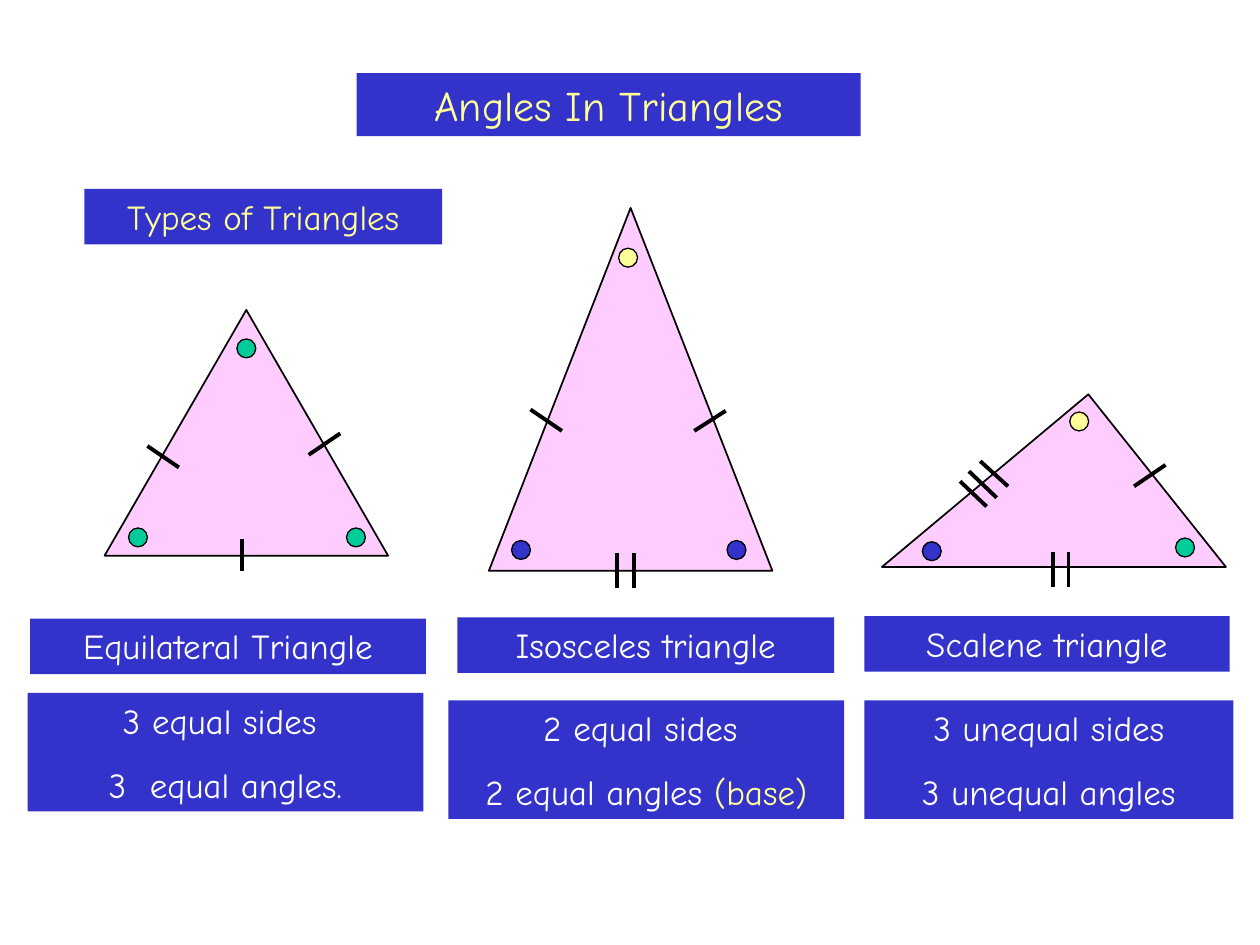
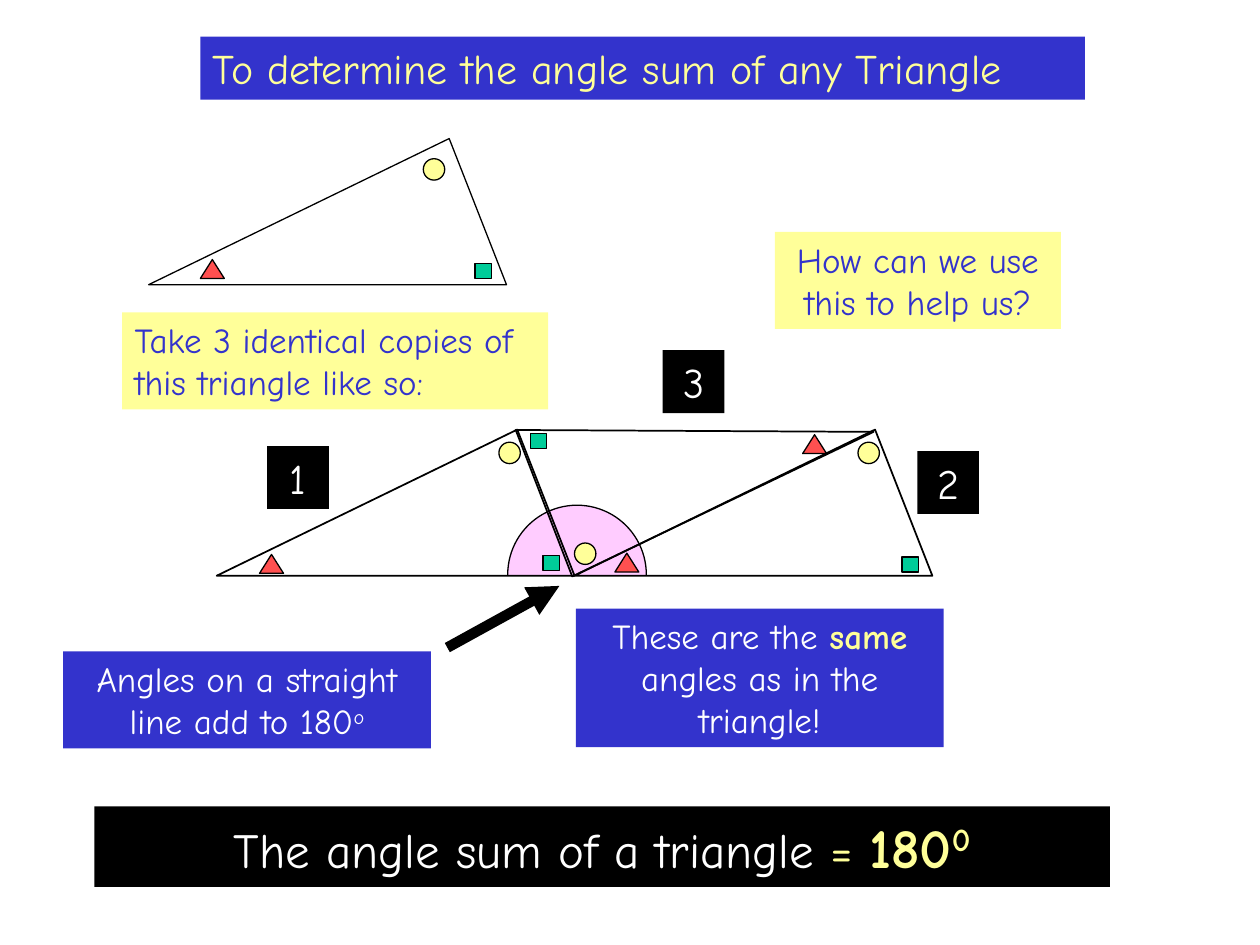
from lxml import etree
from pptx import Presentation
from pptx import util as u
from pptx.dml.color import RGBColor
from pptx.enum import shapes, text
from pptx.oxml.ns import qn

FONT = "Comic Neue"
BLUE = RGBColor(0x33, 0x33, 0xCC)
YELLOW = RGBColor(0xFF, 0xFF, 0x99)
PINK = RGBColor(0xFF, 0xCC, 0xFF)
GREEN = RGBColor(0x00, 0xCC, 0x99)
RED = RGBColor(0xFF, 0x50, 0x50)
BLACK = RGBColor(0, 0, 0)
WHITE = RGBColor(0xFF, 0xFF, 0xFF)

RECT = shapes.MSO_SHAPE.RECTANGLE
OVAL = shapes.MSO_SHAPE.OVAL
TRIANGLE = shapes.MSO_SHAPE.ISOSCELES_TRIANGLE
LEFT = text.PP_ALIGN.LEFT
CENTER = text.PP_ALIGN.CENTER

prs = Presentation()
prs.slide_width, prs.slide_height = u.Inches(10), u.Inches(7.5)
COL = prs.slide_width // 100
ROW = prs.slide_height // 75


def place(s, kind, box, fill=None, line=BLACK, weight=0.75):
    x, y, w, h = box
    sp = s.shapes.add_shape(kind, int(x * COL), int(y * ROW), int(w * COL), int(h * ROW))
    sp.shadow.inherit = False
    if fill is None:
        sp.fill.background()
    else:
        sp.fill.solid()
        sp.fill.fore_color.rgb = fill
    if line is None:
        sp.line.fill.background()
    else:
        sp.line.color.rgb = line
        sp.line.width = u.Pt(weight)
    return sp


def label(s, box, fill, size, paras, ink=WHITE, align=CENTER, title=False):
    if title:
        sp = s.shapes.title
        x, y, w, h = box
        frame = {"left": x * COL, "top": y * ROW, "width": w * COL, "height": h * ROW}
        for key, value in frame.items():
            setattr(sp, key, int(value))
        sp.fill.solid()
        sp.fill.fore_color.rgb = fill
    else:
        sp = place(s, RECT, box, fill, None)
    tf = sp.text_frame
    layout = {"word_wrap": True, "auto_size": text.MSO_AUTO_SIZE.NONE,
              "vertical_anchor": text.MSO_ANCHOR.TOP,
              "margin_left": COL, "margin_right": COL,
              "margin_top": ROW // 2, "margin_bottom": ROW // 2}
    for key, value in layout.items():
        setattr(tf, key, value)
    for i, runs in enumerate(paras):
        p = tf.add_paragraph() if i else tf.paragraphs[0]
        p.alignment = align
        p.space_before = u.Pt(size * 0.625 if i else 0)
        for words, extra in runs:
            r = p.add_run()
            r.text = words
            look = {"name": FONT, "size": u.Pt(size), "bold": False, "color": ink, **extra}
            r.font.color.rgb = look.pop("color")
            if look.pop("raised", False):
                r._r.get_or_add_rPr().set("baseline", "30000")
            for key, value in look.items():
                setattr(r.font, key, value)
    return sp


lines = []

s = prs.slides.add_slide(prs.slide_layouts[5])
label(s, (28.3, 5.8, 40, 5), BLUE, 24, [[("Angles In Triangles", {})]], YELLOW, title=True)
label(s, (6.7, 15, 28.4, 4.4), BLUE, 20, [[("Types of Triangles", {})]], YELLOW)

kinds = [
    {"name": "Equilateral Triangle", "name_box": (2.4, 49.1, 31.4, 4.4),
     "facts": [[("3 equal sides ", {})], [("3  equal angles.", {})]],
     "facts_box": (2.2, 55, 31.4, 9.4),
     "frame": (8.3, 24.6, 22.5, 19.5), "apex": 0.5,
     "angles": [(18.8, 26.9, GREEN), (10.2, 41.9, GREEN), (27.5, 41.9, GREEN)],
     "ticks": [(27, 34.4, 24.5, 36.1), (19.2, 42.8, 19.2, 45.3), (11.7, 35.4, 14.2, 37.1)]},
    {"name": "Isosceles triangle", "name_box": (36.3, 49, 29.9, 4.4),
     "facts": [[("2 equal sides ", {})],
               [("2 equal angles ", {}), ("(base)", {"color": YELLOW})]],
     "facts_box": (35.6, 55.6, 31.4, 9.4),
     "frame": (38.8, 16.5, 22.5, 28.8), "apex": 0.5,
     "angles": [(49.1, 19.7, YELLOW), (40.6, 42.9, BLUE), (57.7, 42.9, BLUE)],
     "ticks": [(57.6, 32.6, 55.1, 34.2), (42.1, 32.5, 44.6, 34.2),
               (49, 43.9, 49, 46.7), (50.3, 43.9, 50.3, 46.7)]},
    {"name": "Scalene triangle", "name_box": (68.6, 48.9, 29, 4.4),
     "facts": [[("3 unequal sides", {})], [("3 unequal angles", {})]],
     "facts_box": (68.6, 55.6, 29.3, 9.4),
     "frame": (70, 31.3, 27.3, 13.7), "apex": 0.6,
     "angles": [(84.9, 32.7, YELLOW), (73.2, 43, BLUE), (93.3, 42.7, GREEN)],
     "ticks": [(92.5, 36.9, 90, 38.6), (83.6, 43.8, 83.6, 46.6), (84.8, 43.8, 84.8, 46.6),
               (77.8, 36.6, 80, 38.6), (76.9, 37.4, 79.1, 39.5), (76.2, 38.2, 78.3, 40.2)]},
]
for kind in kinds:
    sp = place(s, TRIANGLE, kind["frame"], PINK, weight=1)
    sp.adjustments[0] = kind["apex"]
    for x, y, colour in kind["angles"]:
        place(s, OVAL, (x, y, 1.5, 1.5), colour)
    lines += [(s, tick, 2.25, False) for tick in kind["ticks"]]
    label(s, kind["name_box"], BLUE, 20, [[(kind["name"], {})]])
    label(s, kind["facts_box"], BLUE, 20, kind["facts"])

s = prs.slides.add_slide(prs.slide_layouts[5])
label(s, (15.9, 2.9, 70.2, 5), BLUE, 24,
      [[("To determine the angle sum of any Triangle", {})]], YELLOW, LEFT, True)

place(s, OVAL, (40.3, 40.1, 11, 11), PINK)
place(s, RECT, (37.8, 45.8, 17.6, 8), WHITE, WHITE)

marks = [(RECT, GREEN, 1.3, 1.2), (OVAL, YELLOW, 1.7, 1.7), (TRIANGLE, RED, 1.9, 1.5)]
copies = [
    (11.8, 11, 0, 0.75, [(25.9, 9.9), (21.8, 1.6), (4.1, 9.6)]),
    (17.2, 34.1, 0, 1, [(25.9, 10), (22.4, 1), (3.4, 9.9)]),
    (40.9, 34.2, 180.3, 1, [(1.2, 0.2), (4.7, 8.9), (22.8, 0.3)]),
    (45.6, 34.1, 0, 1, [(26, 10.1), (22.5, 1), (3.2, 9.8)]),
]
for x, y, turn, weight, spots in copies:
    for (kind, colour, w, h), (dx, dy) in zip(marks, spots):
        place(s, kind, (x + dx, y + dy, w, h), colour)
    sp = place(s, TRIANGLE, (x, y, 28.4, 11.6), weight=weight)
    sp.adjustments[0] = 0.84
    sp.rotation = turn

for number, x, y in [("1", 21.2, 35.4), ("3", 52.6, 27.8), ("2", 72.8, 35.8)]:
    label(s, (x, y, 4.9, 5), BLACK, 24, [[(number, {})]])

label(s, (9.7, 24.8, 33.8, 7.7), YELLOW, 20,
      [[("Take 3 identical copies of this triangle like so:", {})]], BLUE, LEFT)
label(s, (61.5, 18.4, 22.7, 7.7), YELLOW, 20,
      [[("How can we use this to help us?", {})]], BLUE)
label(s, (5, 51.7, 29.2, 7.7), BLUE, 20,
      [[("Angles on a straight line add to 180", {}), ("o", {"raised": True})]])
label(s, (45.7, 48.3, 29.2, 11), BLUE, 20,
      [[("These are the ", {}), ("same", {"color": YELLOW, "bold": True}),
        (" angles as in the triangle!", {})]])
total = {"color": YELLOW, "bold": True, "size": u.Pt(32)}
label(s, (7.5, 64, 80.6, 6.4), BLACK, 28,
      [[("The angle sum of a triangle", {}), (" = ", {"color": YELLOW}),
        ("180", total), ("0", {**total, "raised": True})]])
lines.append((s, (35.5, 51.4, 44.4, 46.5), 6, True))

for s, (x1, y1, x2, y2), weight, arrow in lines:
    c = s.shapes.add_connector(shapes.MSO_CONNECTOR.STRAIGHT, int(x1 * COL), int(y1 * ROW),
                               int(x2 * COL), int(y2 * ROW))
    c.line.color.rgb = BLACK
    c.line.width = u.Pt(weight)
    if arrow:
        etree.SubElement(c.line._get_or_add_ln(), qn("a:tailEnd"), type="triangle")
    etree.SubElement(c._element.spPr, qn("a:effectLst"))

prs.save("out.pptx")
